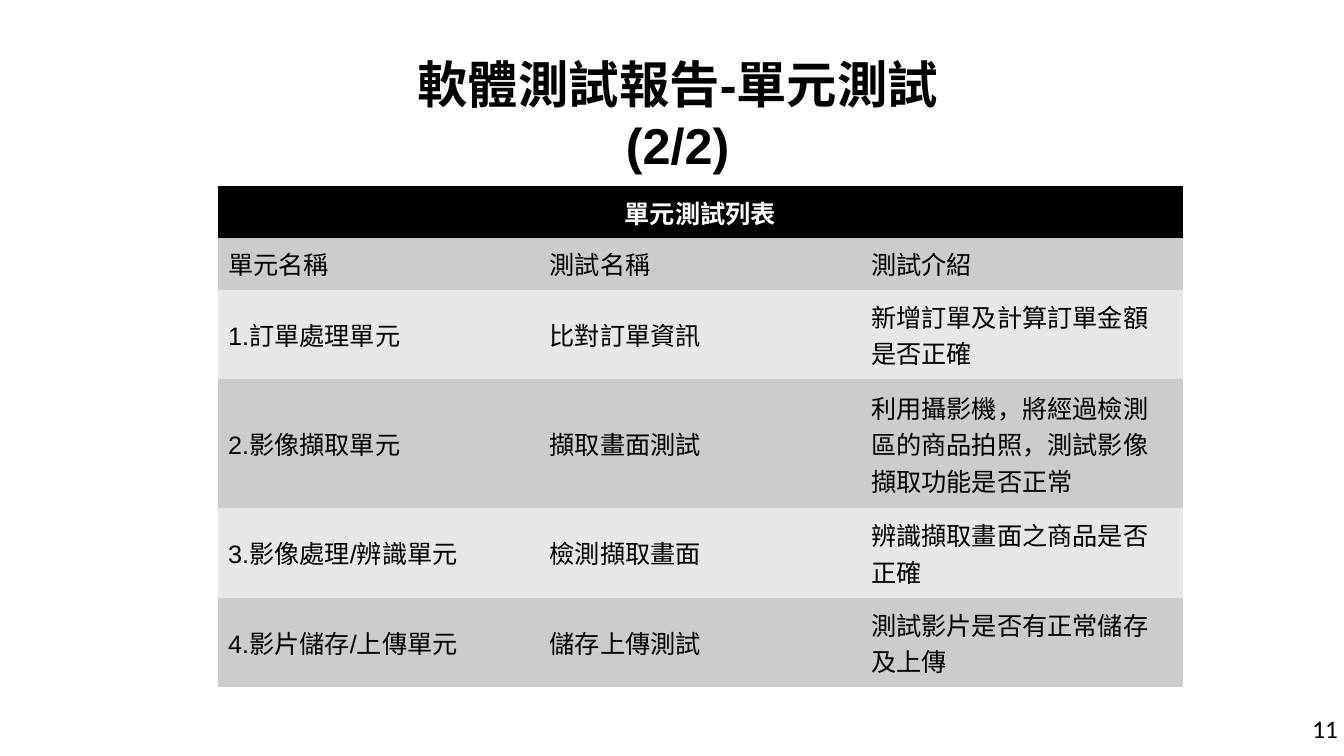
import pptx
import pptx.dml.color
import pptx.enum.text
import pptx.util

Pt = pptx.util.Pt
ALIGN = pptx.enum.text.PP_ALIGN
MIDDLE = pptx.enum.text.MSO_ANCHOR.MIDDLE

BLACK = pptx.dml.color.RGBColor(0x00, 0x00, 0x00)
WHITE = pptx.dml.color.RGBColor(0xFF, 0xFF, 0xFF)
DARK_BAND = pptx.dml.color.RGBColor(0xCC, 0xCC, 0xCC)
LIGHT_BAND = pptx.dml.color.RGBColor(0xE7, 0xE7, 0xE7)

TITLE = "軟體測試報告-單元測試(2/2)"
PAGE_NUMBER = "11"
LIST_HEADING = "單元測試列表"
UNIT_TESTS = [
    ("單元名稱", "測試名稱", "測試介紹"),
    ("1.訂單處理單元", "比對訂單資訊", "新增訂單及計算訂單金額是否正確"),
    ("2.影像擷取單元", "擷取畫面測試", "利用攝影機，將經過檢測區的商品拍照，測試影像擷取功能是否正常"),
    ("3.影像處理/辨識單元", "檢測擷取畫面", "辨識擷取畫面之商品是否正確"),
    ("4.影片儲存/上傳單元", "儲存上傳測試", "測試影片是否有正常儲存及上傳"),
]
ROW_HEIGHTS = [37, 37, 64, 92, 64, 64]
COLUMN_WIDTH = 229.7
NO_STYLE_NO_GRID = "{2D5ABB26-0587-4C30-8999-92F81FD0307C}"


def write(frame, text, size, font="Arial", color=BLACK, bold=False, align=ALIGN.LEFT):
    paragraph = frame.paragraphs[0]
    paragraph.alignment = align
    run = paragraph.add_run()
    run.text = text
    run.font.size = Pt(size)
    run.font.name = font
    run.font.bold = bold
    run.font.color.rgb = color


def fill_cell(cell, text, background, **style):
    cell.fill.solid()
    cell.fill.fore_color.rgb = background
    cell.vertical_anchor = MIDDLE
    write(cell.text_frame, text, 18, **style)


def main():
    deck = pptx.Presentation()
    deck.slide_width, deck.slide_height = Pt(960), Pt(540)
    slide = deck.slides.add_slide(deck.slide_layouts[6])

    page_number = slide.shapes.add_textbox(Pt(930.4), Pt(506.3), Pt(33), Pt(29)).text_frame
    page_number.word_wrap = False
    write(page_number, PAGE_NUMBER, 18, font="Calibri")

    title = slide.shapes.add_textbox(Pt(257), Pt(35.4), Pt(454.3), Pt(49)).text_frame
    title.word_wrap = True
    title.margin_left = title.margin_right = Pt(5.2)
    title.margin_top = title.margin_bottom = Pt(2.6)
    write(title, TITLE, 36, bold=True, align=ALIGN.CENTER)

    columns = len(UNIT_TESTS[0])
    table_frame = slide.shapes.add_table(
        len(ROW_HEIGHTS), columns, Pt(155.7), Pt(133),
        Pt(COLUMN_WIDTH * columns), Pt(sum(ROW_HEIGHTS)))
    test_table = table_frame.table
    test_table._tbl.tblPr.find(pptx.oxml.ns.qn("a:tableStyleId")).text = NO_STYLE_NO_GRID
    for column in test_table.columns:
        column.width = Pt(COLUMN_WIDTH)
    for row, height in zip(test_table.rows, ROW_HEIGHTS):
        row.height = Pt(height)

    heading = test_table.cell(0, 0)
    heading.merge(test_table.cell(0, columns - 1))
    fill_cell(heading, LIST_HEADING, BLACK, color=WHITE, bold=True, align=ALIGN.CENTER)

    for row_index, unit_test in enumerate(UNIT_TESTS, start=1):
        band = DARK_BAND if row_index % 2 else LIGHT_BAND
        for column_index, text in enumerate(unit_test):
            fill_cell(test_table.cell(row_index, column_index), text, band)

    deck.save("out.pptx")


if __name__ == "__main__":
    main()
